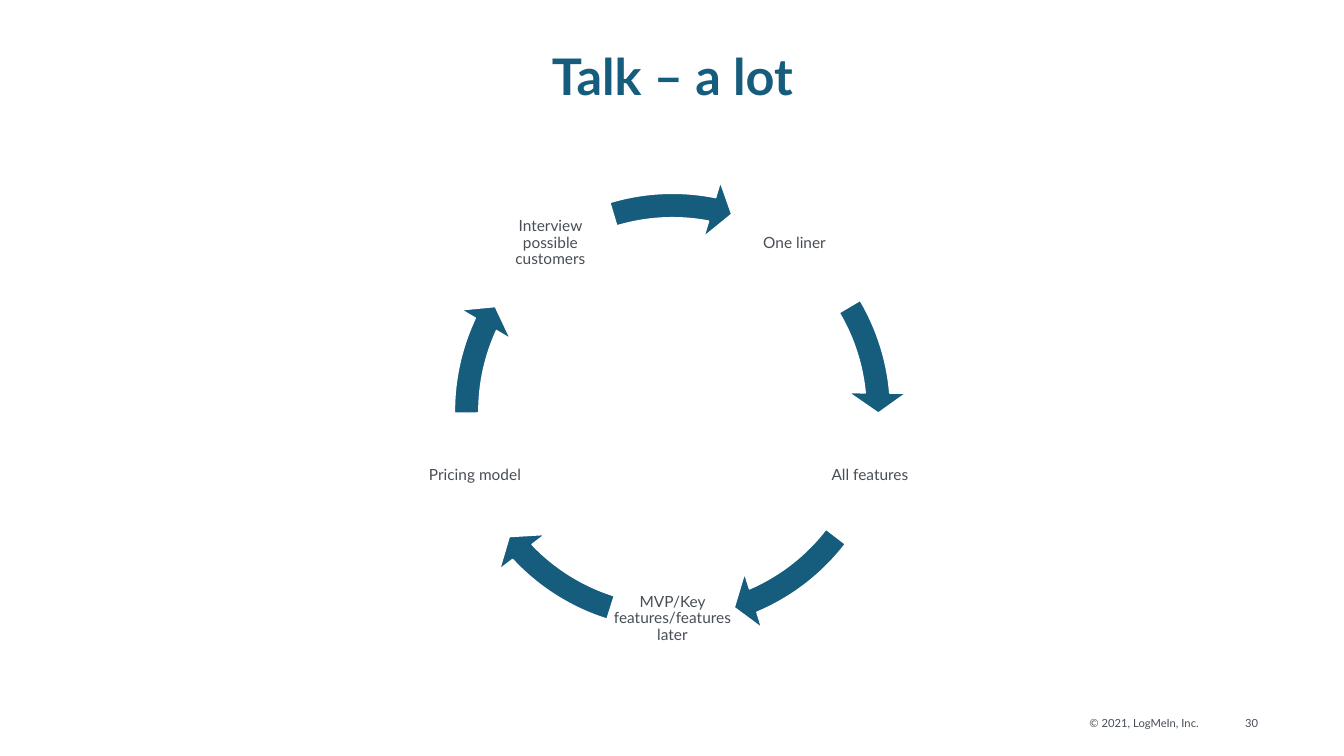
from math import cos, radians, sin

from pptx import Presentation
from pptx.dml.color import RGBColor
from pptx.enum.shapes import MSO_SHAPE
from pptx.enum.text import MSO_ANCHOR, MSO_AUTO_SIZE, PP_ALIGN
from pptx.util import Inches, Pt

BLUE = RGBColor(0x16, 0x5C, 0x7D)
GREY = RGBColor(0x48, 0x4E, 0x55)
WHITE = RGBColor(0xFF, 0xFF, 0xFF)
LEFT, CENTER, RIGHT = PP_ALIGN.LEFT, PP_ALIGN.CENTER, PP_ALIGN.RIGHT
MIDDLE, TOP = MSO_ANCHOR.MIDDLE, MSO_ANCHOR.TOP
TITLE_ONLY = 5

TITLE_FONT = {"name": "Lato", "size": Pt(36), "bold": True}
LABEL_FONT = {"name": "Lato", "size": Pt(11)}
FOOTER_FONT = {"name": "Lato", "size": Pt(8)}


def write(box, text, font_format, color, alignment):
    para = box.text_frame.paragraphs[0]
    para.alignment = alignment
    span = para.add_run()
    span.text = text
    for name, value in font_format.items():
        setattr(span.font, name, value)
    span.font.color.rgb = color
    return para


deck = Presentation()
deck.slide_width, deck.slide_height = Inches(13.33), Inches(7.5)
page = deck.slides.add_slide(deck.slide_layouts[TITLE_ONLY])
shapes = page.shapes

title = shapes.title
title.left, title.top = Inches(0.92), Inches(0.4)
title.width, title.height = Inches(11.5), Inches(1.29)
title.text_frame.vertical_anchor = TOP
title.text_frame.auto_size = MSO_AUTO_SIZE.NONE
write(title, "Talk – a lot", TITLE_FONT, BLUE, CENTER)

# Footer: text, left, width, alignment
footers = [
    ("© 2021, LogMeIn, Inc.", 10.69, 1.3, RIGHT),
    ("30", 12.25, 0.33, CENTER),
]
for text, left, width, alignment in footers:
    box = shapes.add_textbox(Inches(left), Inches(7.06), Inches(width), Inches(0.24))
    box.text_frame.word_wrap = False
    write(box, text, FOOTER_FONT, GREY, alignment)

# Five steps spread evenly on a circle, each followed by an arrow
CENTER_X, CENTER_Y, RADIUS = 6.67, 4.08, 2.06
LABEL_SIZE, RING_SIZE = 1.24, 4.65
FIRST_ANGLE = -54
DEGREE = 0.6  # one degree in adjustment units
# Step, then start and tip angle of the arrow that leads to the next step
steps = [
    ("One liner", 329.42, 354.9),
    ("All features", 37.54, 66.93),
    ("MVP/Key features/features later", 107.48, 136.86),
    ("Pricing model", 179.5, 204.98),
    ("Interview possible customers", 253.3, 281.11),
]
# Angles run clockwise from the right; the first arrow leaves the first step
for index, (text, start, tip) in enumerate(steps):
    angle = radians(FIRST_ANGLE + index * 360 / len(steps))
    label = shapes.add_textbox(
        Inches(CENTER_X + RADIUS * cos(angle) - LABEL_SIZE / 2),
        Inches(CENTER_Y + RADIUS * sin(angle) - LABEL_SIZE / 2),
        Inches(LABEL_SIZE), Inches(LABEL_SIZE))
    frame = label.text_frame
    frame.word_wrap = True
    frame.vertical_anchor = MIDDLE
    for side in ("left", "top", "right", "bottom"):
        setattr(frame, f"margin_{side}", Inches(0.02))
    write(label, text, LABEL_FONT, GREY, CENTER).line_spacing = 0.9

    arrow = shapes.add_shape(
        MSO_SHAPE.CIRCULAR_ARROW,
        Inches(CENTER_X - RING_SIZE / 2), Inches(CENTER_Y - RING_SIZE / 2),
        Inches(RING_SIZE), Inches(RING_SIZE))
    arrow.shadow.inherit = False
    arrow.fill.solid()
    arrow.fill.fore_color.rgb = BLUE
    arrow.line.color.rgb = WHITE
    arrow.line.width = Pt(1)
    adjustments = (0.052, 5.6 * DEGREE, tip * DEGREE, start * DEGREE, 0.061)
    for position, value in enumerate(adjustments):
        arrow.adjustments[position] = value

deck.save("out.pptx")
